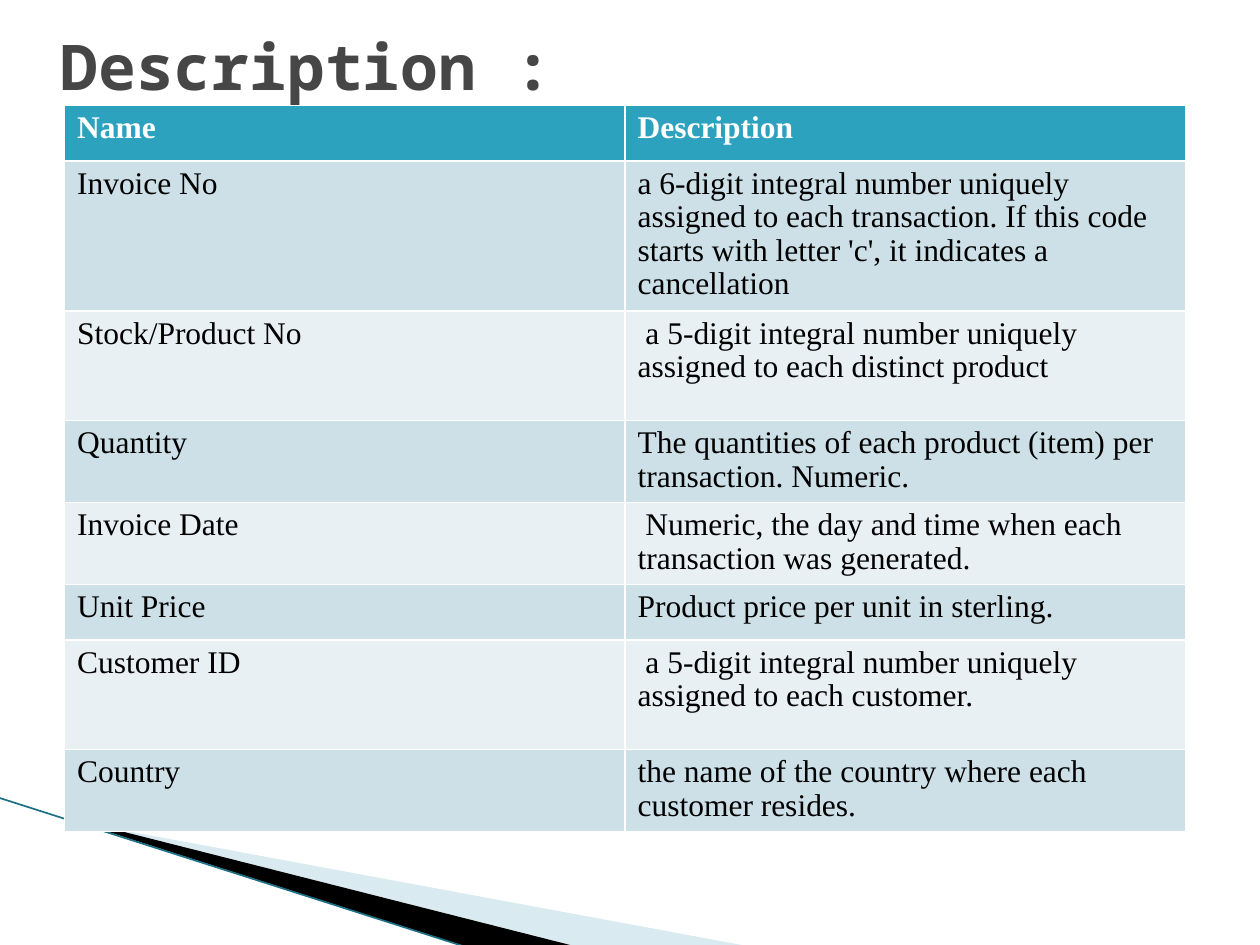
from dataclasses import dataclass

from lxml import etree
from pptx import Presentation
from pptx.dml.color import RGBColor
from pptx.enum.shapes import MSO_CONNECTOR
from pptx.enum.text import MSO_ANCHOR, PP_ALIGN
from pptx.oxml.ns import qn
from pptx.util import Cm, Pt

STRAIGHT = MSO_CONNECTOR.STRAIGHT
MIDDLE = MSO_ANCHOR.MIDDLE
LEFT = PP_ALIGN.LEFT


@dataclass(frozen=True)
class Theme:
    title_font: str = "Noto Sans Mono"
    body_font: str = "Times New Roman"
    title_size: int = 36
    body_size: int = 18
    spacing: float = 0.96
    title: str = "464646"
    head: str = "2DA2BF"
    bands: tuple = ("CDE0E8", "E8F0F4")
    light: str = "FFFFFF"
    dark: str = "000000"
    pale: str = "A0CBDC"
    line: str = "1B7085"


THEME = Theme()

ROWS = [
    ("Name", "Description", 1.12),
    ("Invoice No", "a 6-digit integral number uniquely assigned to each transaction. "
     "If this code starts with letter 'c', it indicates a cancellation", 3.02),
    ("Stock/Product No", " a 5-digit integral number uniquely assigned to each distinct product", 2.21),
    ("Quantity", "The quantities of each product (item) per transaction. Numeric.", 1.65),
    ("Invoice Date", " Numeric, the day and time when each transaction was generated.", 1.65),
    ("Unit Price", "Product price per unit in sterling.", 1.12),
    ("Customer ID", " a 5-digit integral number uniquely assigned to each customer.", 2.21),
    ("Country", "the name of the country where each customer resides.", 1.65),
]


def style(para, font, size, color, bold):
    para.alignment = LEFT
    for run in para.runs:
        run.font.name = font
        run.font.size = Pt(size)
        run.font.bold = bold
        run.font.color.rgb = RGBColor.from_string(color)


def add_wedge(slide, left, top, points, color, alpha=100):
    spots = [(Cm(left + x), Cm(top + y)) for x, y in points]
    pen = slide.shapes.build_freeform(*spots[0])
    pen.add_line_segments(spots[1:], close=True)
    wedge = pen.convert_to_shape()
    wedge.shadow.inherit = False
    wedge.line.fill.background()
    wedge.fill.solid()
    wedge.fill.fore_color.rgb = RGBColor.from_string(color)
    if alpha < 100:
        tint = wedge.fill._xPr.find(".//" + qn("a:srgbClr"))
        etree.SubElement(tint, qn("a:alpha")).set("val", str(alpha * 1000))


def add_swoosh(slide, left, top):
    add_wedge(slide, left, top,
              [(1.4, 0.46), (15.11, 3), (11.58, 3), (1.4, 0.43)], THEME.pale, 40)
    add_wedge(slide, left, top,
              [(1.35, 0.4), (11.61, 3), (9.45, 3.02), (1.37, 0.43)], THEME.dark)
    edge = slide.shapes.add_connector(
        STRAIGHT, Cm(left - 0.03), Cm(top), Cm(left + 9.42), Cm(top + 3.02))
    edge.line.color.rgb = RGBColor.from_string(THEME.line)
    edge.line.width = Pt(0.95)
    etree.SubElement(edge._element.spPr, qn("a:effectLst"))


def set_title(slide, left, top, width, height):
    title = slide.shapes.title
    title.left, title.top = Cm(left), Cm(top)
    title.width, title.height = Cm(width), Cm(height)
    frame = title.text_frame
    frame.text = "Description :"
    frame.vertical_anchor = MIDDLE
    frame.margin_left = Cm(0.13)
    style(frame.paragraphs[0], THEME.title_font, THEME.title_size, THEME.title, True)


def add_fields(slide, left, top, width):
    height = sum(row[-1] for row in ROWS)
    table = slide.shapes.add_table(
        len(ROWS), 2, Cm(left), Cm(top), Cm(width), Cm(height)).table
    for col in table.columns:
        col.width = Cm(width / 2)
    for i, (name, text, tall) in enumerate(ROWS):
        head = i == 0
        table.rows[i].height = Cm(tall)
        fill = THEME.head if head else THEME.bands[(i - 1) % 2]
        for cell, words in zip(table.rows[i].cells, (name, text)):
            cell.fill.solid()
            cell.fill.fore_color.rgb = RGBColor.from_string(fill)
            cell.text_frame.text = words
            para = cell.text_frame.paragraphs[0]
            para.line_spacing = THEME.spacing
            style(para, THEME.body_font, THEME.body_size,
                  THEME.light if head else THEME.dark, head)


def main():
    deck = Presentation()
    deck.slide_width, deck.slide_height = Cm(25.4), Cm(19.05)
    slide = deck.slides.add_slide(deck.slide_layouts[5])
    add_swoosh(slide, 0, 16.08)
    set_title(slide, 1.09, -0.28, 22.86, 3.18)
    add_fields(slide, 1.3, 2.13, 22.6)
    deck.save("out.pptx")


if __name__ == "__main__":
    main()
